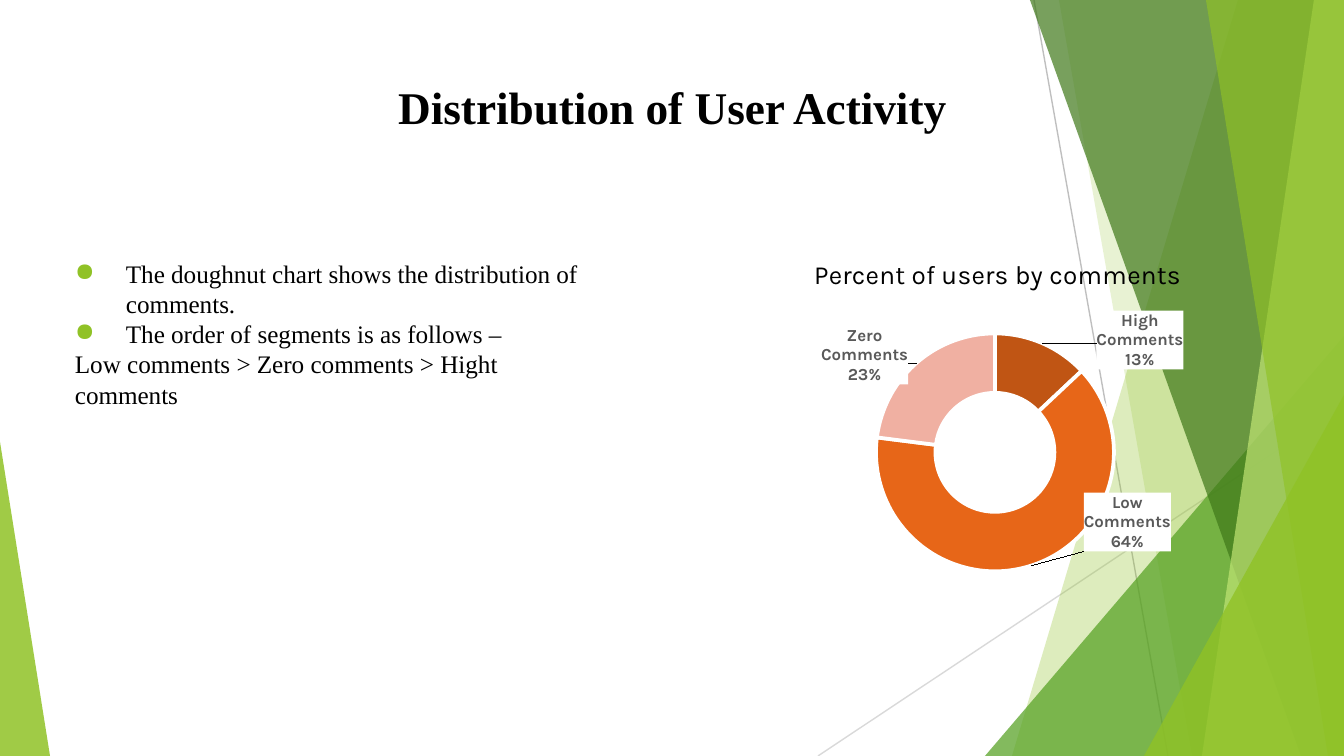
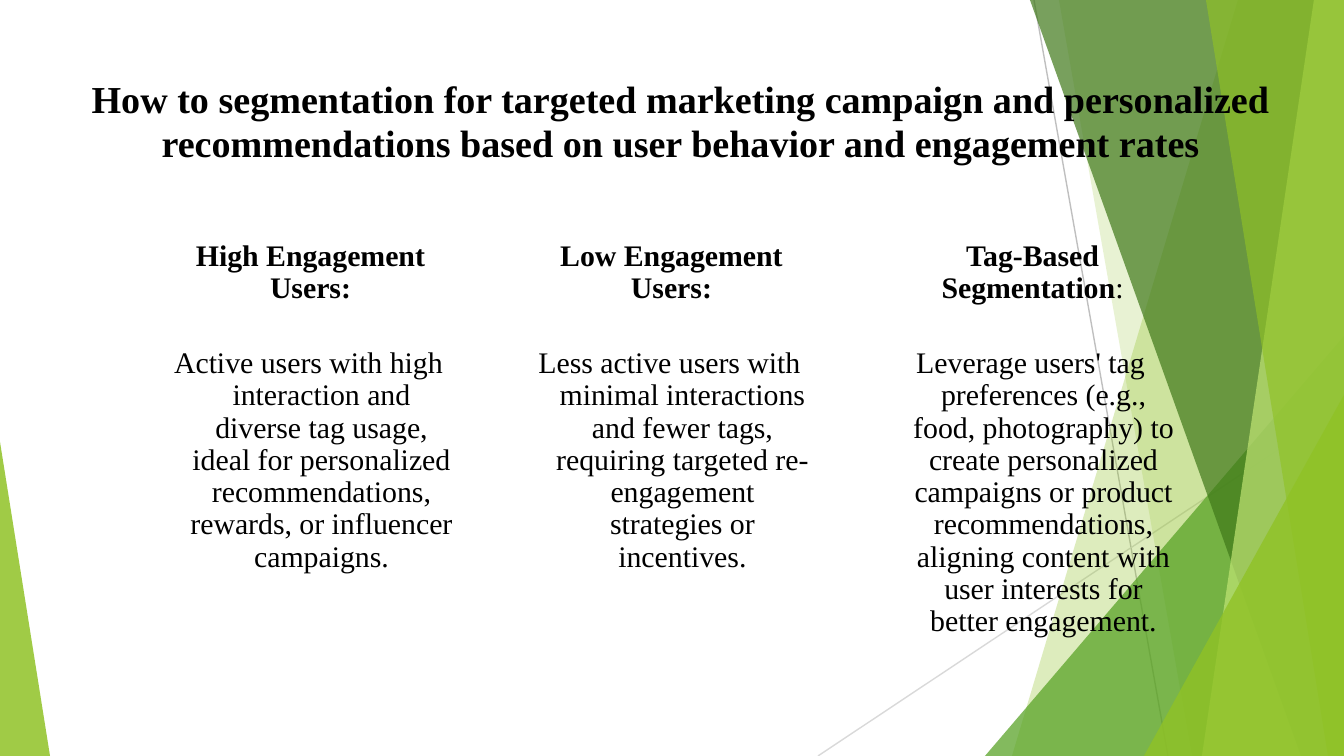
import pptx
import pptx.chart.data
import pptx.dml.color
import pptx.enum.chart
import pptx.enum.shapes
import pptx.enum.text
import pptx.oxml
import pptx.oxml.ns
import pptx.util

WIDTH, HEIGHT = 1344, 756
SCALE = 914400 / 134.4
SERIF, SANS = "Times New Roman", "Karla"
COLORS = {
    "black": "000000", "white": "FFFFFF", "label": "595959",
    "line": "BFBFBF", "pale_line": "D9D9D9",
    "green": "90C226", "leaf": "54A021", "forest": "3F7819", "lime": "C0E474",
    "rust": "C05514", "orange": "E76618", "peach": "F0B0A2",
}

LINES = [(1034, 0, 1168, HEIGHT, "line"), (WIDTH, 406, 818, HEIGHT, "pale_line")]
BACKDROP = [
    ("band", (1238, 1012), "green", 30),
    ("band", (1059, 1192), "green", 20),
    ("triangle", (985, 336, 359, 420, 1), "leaf", 72),
    ("band", (1030, 1301), "forest", 70),
    ("band", (1314, 1202), "lime", 70),
    ("band", (1206, 1328), "green", 65),
    ("triangle", (1144, 395, 200, 361, 1), "green", 80),
    ("triangle", (0, 442, 50, 314, 0), "green", 85),
]

ACTIVITY_TITLE = "Distribution of User Activity"
ACTIVITY_POINTS = [
    ("The doughnut chart shows the distribution of comments.", True),
    ("The order of segments is as follows –", True),
    ("Low comments > Zero comments > Hight comments", False),
]
CHART_TITLE = "Percent of users by comments"
SEGMENTS = [
    ("High Comments", 13, "rust", (0.23, -0.08)),
    ("Low Comments", 64, "orange", (0.22, -0.04)),
    ("Zero Comments", 23, "peach", (-0.15, -0.08)),
]

CAMPAIGN_TITLE = (
    "How to segmentation for targeted marketing campaign and personalized "
    "recommendations based on user behavior and engagement rates"
)
AUDIENCES = [
    ([("High Engagement Users:", True)],
     "Active users with high interaction and diverse tag usage, ideal for "
     "personalized recommendations, rewards, or influencer campaigns."),
    ([("Low Engagement Users:", True)],
     "Less active users with minimal interactions and fewer tags, requiring "
     "targeted re-engagement strategies or incentives."),
    ([("Tag-Based Segmentation", True), (":", False)],
     "Leverage users' tag preferences (e.g., food, photography) to create "
     "personalized campaigns or product recommendations, aligning content "
     "with user interests for better engagement."),
]
COLUMN_LEFT, COLUMN_PITCH, COLUMN_WIDTH = 152, 361, 317


def px(value):
    return pptx.util.Emu(round(value * SCALE))


def rgb(name):
    return pptx.dml.color.RGBColor.from_string(COLORS[name])


def apply(target, values):
    for name, value in values.items():
        setattr(target, name, value)


def set_font(font, size, color="black", bold=False, name=SERIF):
    apply(font, {"size": pptx.util.Pt(size), "bold": bold, "name": name})
    font.color.rgb = rgb(color)


def add_xml(parent, tag, **attributes):
    element = pptx.oxml.ns.qn(tag)
    child = parent.makeelement(element, attributes)
    parent.append(child)
    return child


def add_backdrop(slide):
    shapes = slide.shapes
    for x1, y1, x2, y2, color in LINES:
        line = shapes.add_connector(
            pptx.enum.shapes.MSO_CONNECTOR.STRAIGHT, px(x1), px(y1), px(x2), px(y2))
        line.line.color.rgb = rgb(color)
        line.line.width = pptx.util.Pt(0.75)
        add_xml(line._element.spPr, "a:effectLst")
    for kind, place, color, opacity in BACKDROP:
        if kind == "band":
            top, bottom = place
            builder = shapes.build_freeform(top, 0, scale=SCALE)
            builder.add_line_segments([(WIDTH, 0), (WIDTH, HEIGHT), (bottom, HEIGHT)])
            shape = builder.convert_to_shape()
        else:
            *box, apex = place
            shape = shapes.add_shape(
                pptx.enum.shapes.MSO_SHAPE.ISOSCELES_TRIANGLE, *map(px, box))
            shape.adjustments[0] = apex
        shape.shadow.inherit = False
        shape.fill.solid()
        shape.fill.fore_color.rgb = rgb(color)
        shape.line.fill.background()
        fill = next(shape._element.spPr.iter(pptx.oxml.ns.qn("a:srgbClr")))
        add_xml(fill, "a:alpha", val=str(opacity * 1000))


def add_text(slide, box, paragraphs, size, align="LEFT", spacing=None,
             anchor="TOP", insets=(13, 13, 13, 13)):
    frame = slide.shapes.add_textbox(*map(px, box)).text_frame
    left, top, right, bottom = map(px, insets)
    apply(frame, {
        "word_wrap": True, "margin_left": left, "margin_top": top,
        "margin_right": right, "margin_bottom": bottom,
        "vertical_anchor": getattr(pptx.enum.text.MSO_ANCHOR, anchor),
    })
    for index, (runs, margin, indent, bullet) in enumerate(paragraphs):
        paragraph = frame.paragraphs[0] if index == 0 else frame.add_paragraph()
        properties = paragraph._p.get_or_add_pPr()
        properties.set("marL", str(px(margin)))
        properties.set("indent", str(px(indent)))
        if bullet:
            add_xml(add_xml(properties, "a:buClr"), "a:srgbClr", val=COLORS["green"])
            add_xml(properties, "a:buChar", char="●")
        apply(paragraph, {
            "alignment": getattr(pptx.enum.text.PP_ALIGN, align),
            "line_spacing": spacing,
        })
        for text, bold in runs:
            run = paragraph.add_run()
            run.text = text
            set_font(run.font, size, bold=bold)


def add_title(slide, text, size, height, margin=0, spacing=None):
    add_text(slide, (46, 66, 1253, height), [([(text, True)], margin, 0, False)],
             size, "CENTER", spacing)


def manual_layout(x, y, w=None, h=None, inner=False):
    parts = '<c:layoutTarget val="inner"/>' if inner else ""
    if inner or w is None and x >= 0.1 and y == 0.05:
        parts += '<c:xMode val="edge"/><c:yMode val="edge"/>'
    for name, value in zip("xywh", (x, y, w, h)):
        if value is not None:
            parts += f'<c:{name} val="{value}"/>'
    return f"<c:layout><c:manualLayout>{parts}</c:manualLayout></c:layout>"


def chart_xml(body, tag):
    names = pptx.oxml.ns.nsdecls("c", "a")
    return pptx.oxml.parse_xml(body.replace(f"<c:{tag}>", f"<c:{tag} {names}>", 1))


def label_xml():
    style = (
        '<c:numFmt formatCode="0%" sourceLinked="0"/>'
        f'<c:spPr><a:solidFill><a:srgbClr val="{COLORS["white"]}"/></a:solidFill></c:spPr>'
        '<c:txPr><a:bodyPr/><a:p><a:pPr><a:defRPr sz="900" b="1">'
        f'<a:solidFill><a:srgbClr val="{COLORS["label"]}"/></a:solidFill>'
        f'<a:latin typeface="{SANS}"/></a:defRPr></a:pPr></a:p></c:txPr>'
    )
    shown = {"LegendKey": 0, "Val": 0, "CatName": 1, "SerName": 0,
             "Percent": 1, "BubbleSize": 0}
    style += "".join(f'<c:show{name} val="{value}"/>' for name, value in shown.items())
    style += "<c:separator>\n</c:separator>"
    points = "".join(
        f'<c:dLbl><c:idx val="{index}"/>{manual_layout(*offset)}{style}</c:dLbl>'
        for index, (_, _, _, offset) in enumerate(SEGMENTS))
    return chart_xml(f"<c:dLbls>{points}{style}</c:dLbls>", "dLbls")


def add_doughnut(slide):
    data = pptx.chart.data.CategoryChartData()
    data.categories = [name for name, *_ in SEGMENTS]
    data.add_series("Series 1", [value for _, value, *_ in SEGMENTS])
    chart = slide.shapes.add_chart(
        pptx.enum.chart.XL_CHART_TYPE.DOUGHNUT,
        *map(px, (757, 234, 476, 380)), data).chart
    apply(chart, {"has_legend": False, "has_title": True})
    set_font(chart.font, 10, name=SANS)
    title = chart.chart_title.text_frame
    title.text = CHART_TITLE
    set_font(title.paragraphs[0].runs[0].font, 14, name=SANS)

    plot = chart.plots[0]
    plot.vary_by_categories = True
    series = plot.series[0]
    for index, (_, _, color, _) in enumerate(SEGMENTS):
        form = series.points[index].format
        form.fill.solid()
        form.fill.fore_color.rgb = rgb(color)
        form.line.color.rgb = rgb("white")
        form.line.width = pptx.util.Pt(2)

    qn = pptx.oxml.ns.qn
    for labels in list(plot._element.iter(qn("c:dLbls"))):
        labels.getparent().remove(labels)
    series._element.find(qn("c:cat")).addprevious(label_xml())
    plot._element.find(qn("c:holeSize")).set("val", "75")

    area = plot._element.getparent()
    heading = chart.chart_title._element
    for parent in (area, heading):
        for layout in parent.findall(qn("c:layout")):
            parent.remove(layout)
    area.insert(0, chart_xml(manual_layout(0.25, 0.26, 0.5, 0.63, inner=True), "layout"))
    heading.find(qn("c:tx")).addnext(chart_xml(manual_layout(0.11, 0.05), "layout"))


def add_activity(slide):
    add_title(slide, ACTIVITY_TITLE, 24.3, 85)
    paragraphs = [
        ([(text, False)], *((67, -51) if bullet else (16, 0)), bullet)
        for text, bullet in ACTIVITY_POINTS]
    add_text(slide, (46, 245, 556, 368), paragraphs, 13.5)
    add_doughnut(slide)


def add_campaign(slide):
    add_title(slide, CAMPAIGN_TITLE, 20.4, 116, margin=16, spacing=0.95)
    for index, (heading, description) in enumerate(AUDIENCES):
        left = COLUMN_LEFT + index * COLUMN_PITCH
        add_text(slide, (left, 210, COLUMN_WIDTH, 126), [(heading, 0, 0, False)],
                 16, "CENTER", 0.9, "MIDDLE", (16, 9, 16, 9))
        add_text(slide, (left, 336, COLUMN_WIDTH, 362),
                 [([(description, False)], 26, -26, False)],
                 16, "CENTER", 0.9, insets=(12, 12, 16, 19))


def main():
    presentation = pptx.Presentation()
    apply(presentation, {"slide_width": px(WIDTH), "slide_height": px(HEIGHT)})
    for add_content in (add_activity, add_campaign):
        slide = presentation.slides.add_slide(presentation.slide_layouts[6])
        add_backdrop(slide)
        add_content(slide)
    presentation.save("out.pptx")


if __name__ == "__main__":
    main()
